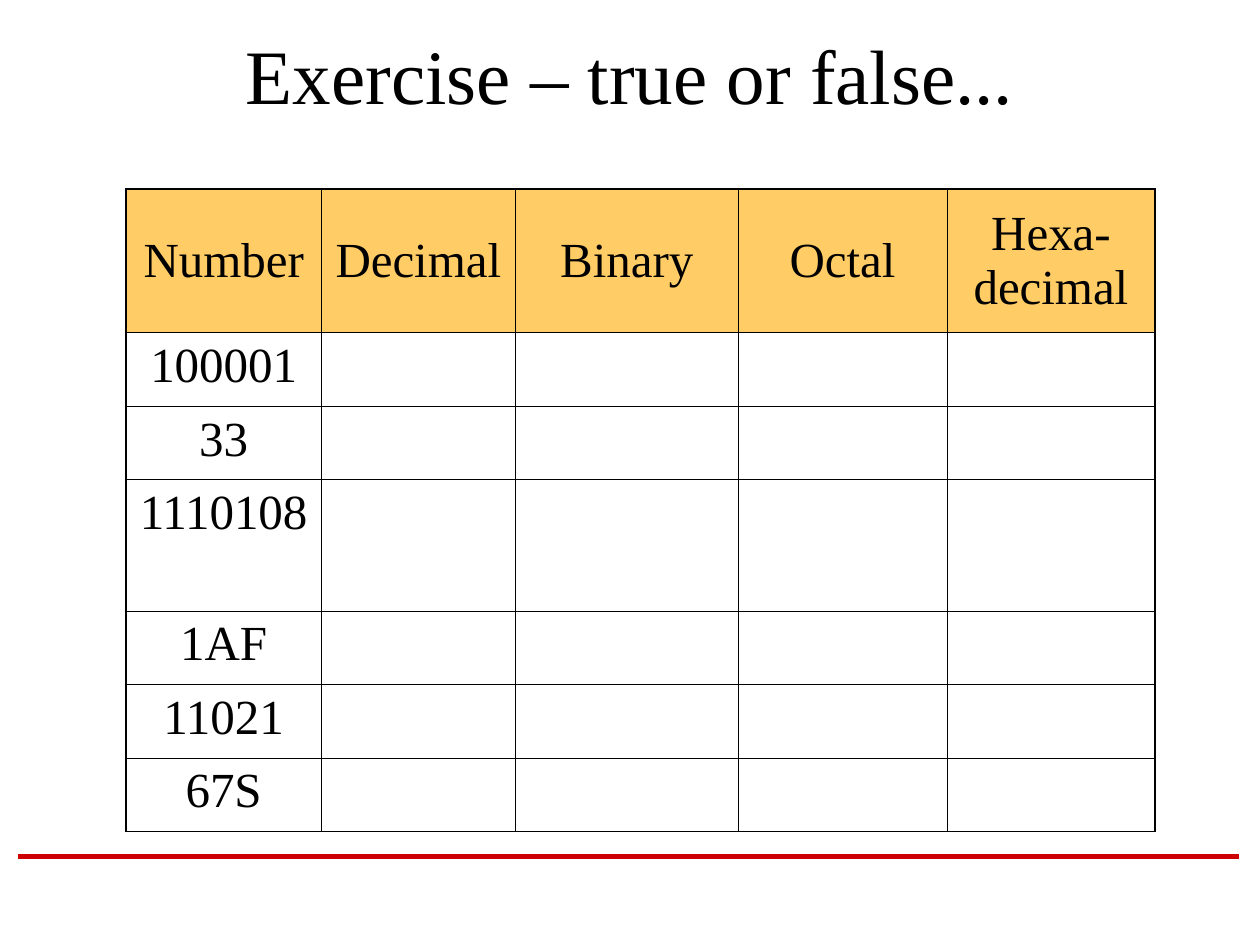
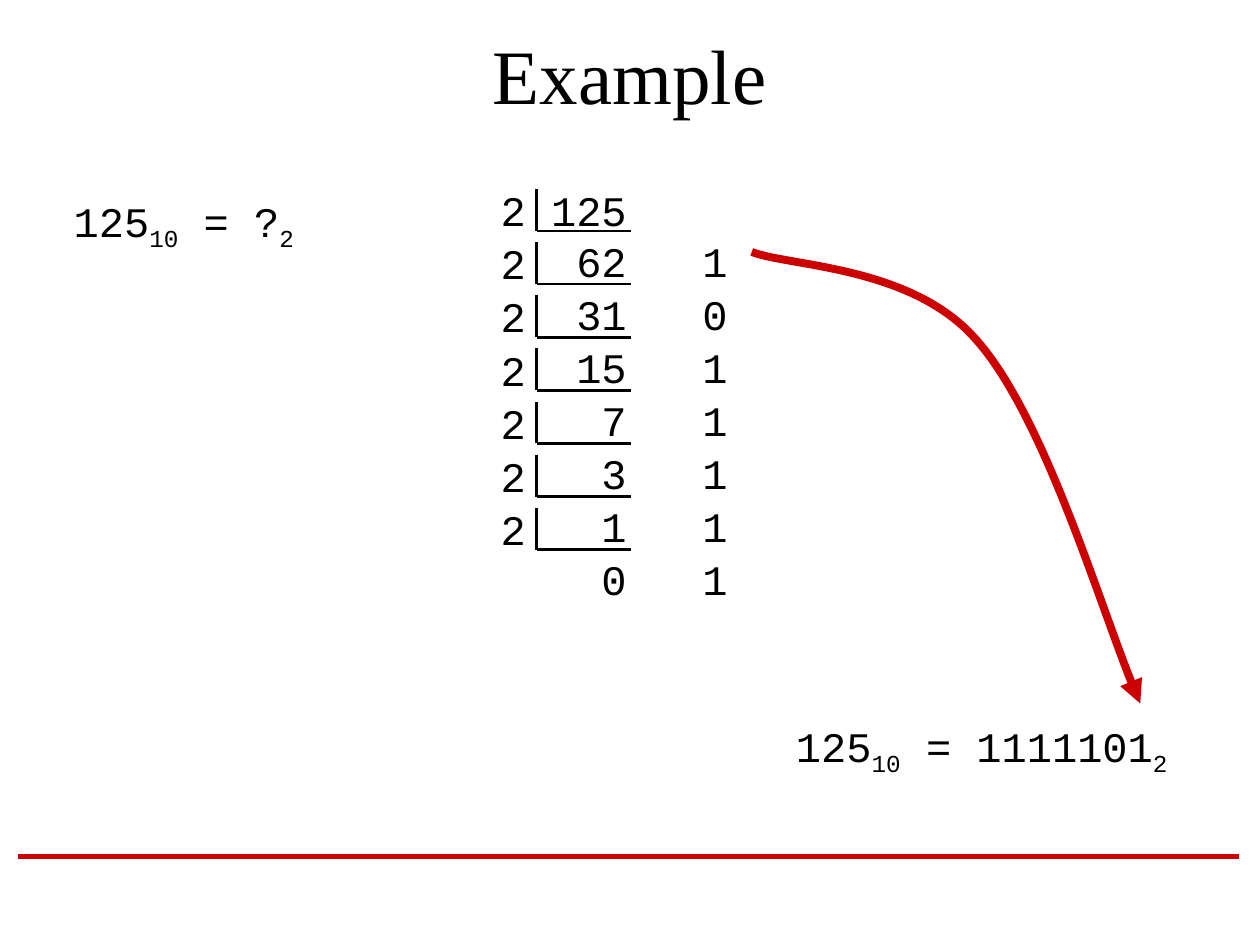
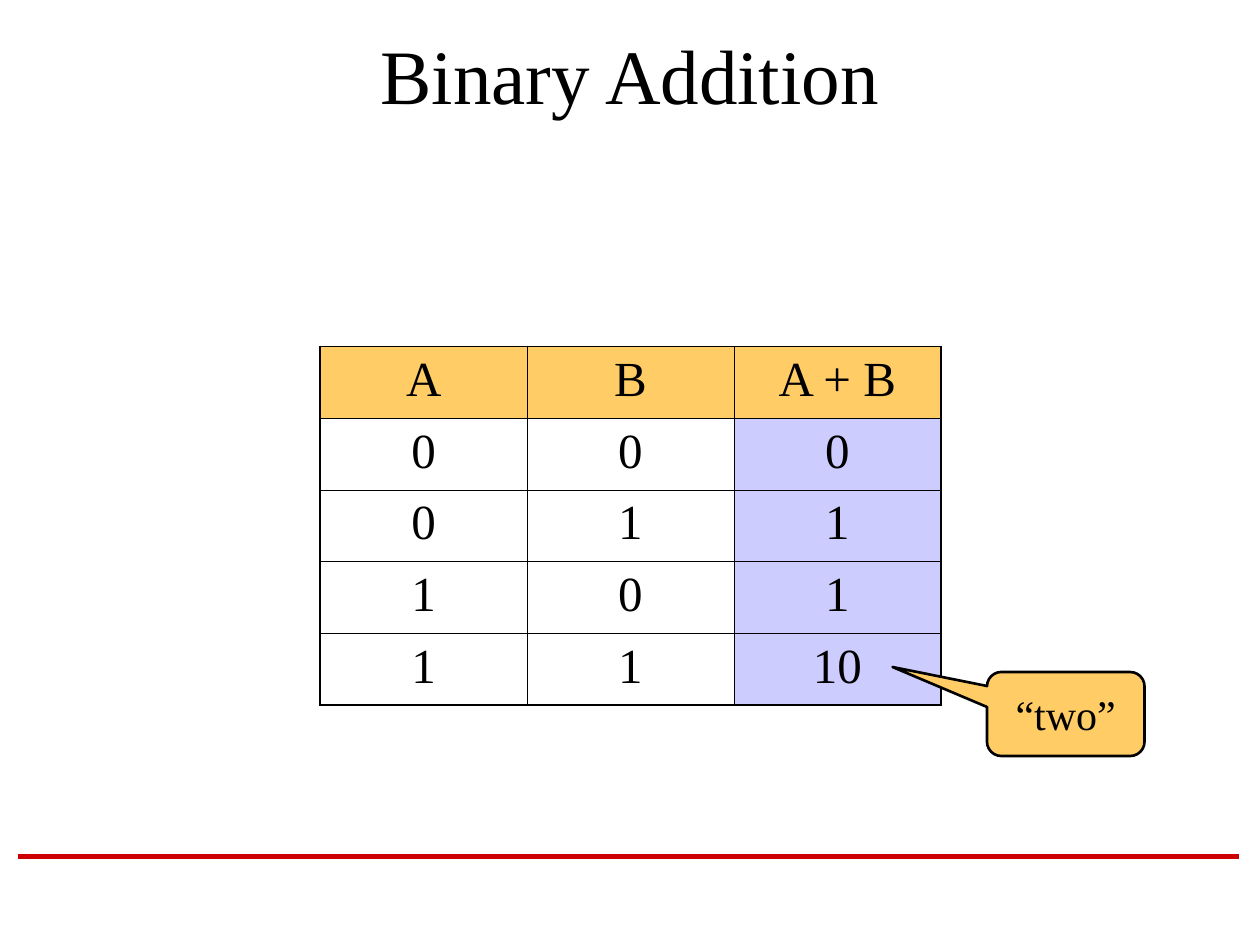
from lxml import etree
from pptx import Presentation
from pptx.dml.color import RGBColor
from pptx.enum.shapes import MSO_CONNECTOR as Connector, MSO_SHAPE as Preset
from pptx.enum.text import MSO_ANCHOR as Anchor, PP_ALIGN as Align
from pptx.oxml.ns import qn
from pptx.util import Inches, Pt

COLORS = {"ink": "000000", "rule": "CC0000", "header": "FFCC66", "sum": "CCCCFF"}
SERIF, MONO = "Times New Roman", "Courier New"
COLUMNS, ROWS = 120, 90
BLANK_LAYOUT = 6
THIN, THICK = 0.45, 1.08


def color(name):
    return RGBColor.from_string(COLORS[name])


def write(frame, text, size=28, font=SERIF, align=Align.CENTER, anchor=Anchor.TOP, tabs=()):
    frame.word_wrap = True
    frame.vertical_anchor = anchor
    paragraph = frame.paragraphs[0]
    paragraph.alignment = align
    if tabs:
        tab_list = etree.SubElement(paragraph._p.get_or_add_pPr(), qn("a:tabLst"))
        for position in tabs:
            etree.SubElement(tab_list, qn("a:tab"), pos=str(Inches(position)), algn="r")
    for number, line in enumerate(text.split("\n")):
        if number:
            paragraph.add_line_break()
        for index, piece in enumerate(line.split("_")):
            if not piece:
                continue
            run = paragraph.add_run()
            run.text = piece
            run.font.size = Pt(size)
            run.font.name = font
            run.font.color.rgb = color("ink")
            if index % 2:
                run.font._element.set("baseline", "-25000")


def set_borders(cell, widths):
    properties = cell._tc.get_or_add_tcPr()
    for index, (side, width) in enumerate(widths.items()):
        border = etree.Element(qn("a:ln" + side), w=str(Pt(width)))
        fill = etree.SubElement(border, qn("a:solidFill"))
        etree.SubElement(fill, qn("a:srgbClr"), val=COLORS["ink"])
        properties.insert(index, border)


class Deck:
    def __init__(self):
        self.presentation = Presentation()
        self.presentation.slide_width = Inches(10)
        self.presentation.slide_height = Inches(7.5)
        self.slide = None

    def x(self, columns):
        return round(self.presentation.slide_width * columns / COLUMNS)

    def y(self, rows):
        return round(self.presentation.slide_height * rows / ROWS)

    def box(self, left, top, width, height):
        return self.x(left), self.y(top), self.x(width), self.y(height)

    def new_slide(self, title):
        layout = self.presentation.slide_layouts[BLANK_LAYOUT]
        self.slide = self.presentation.slides.add_slide(layout)
        self.line((1.7, 81.6), (118, 81.6), "rule", 3)
        self.text((9, 2, 102, 10), title, size=44, anchor=Anchor.MIDDLE)

    def text(self, area, text, **style):
        shape = self.slide.shapes.add_textbox(*self.box(*area))
        write(shape.text_frame, text, **style)

    def line(self, start, end, ink="ink", width=1.5):
        connector = self.slide.shapes.add_connector(
            Connector.STRAIGHT, self.x(start[0]), self.y(start[1]), self.x(end[0]), self.y(end[1]))
        connector.line.color.rgb = color(ink)
        connector.line.width = Pt(width)
        etree.SubElement(connector._element.spPr, qn("a:effectLst"))

    def table(self, left, top, widths, heights, rows, fills, header_anchor=Anchor.TOP):
        area = self.box(left, top, sum(widths), sum(heights))
        table = self.slide.shapes.add_table(len(heights), len(widths), *area).table
        for column, width in zip(table.columns, widths):
            column.width = self.x(width)
        last_row, last_column = len(heights) - 1, len(widths) - 1
        for r, (values, height) in enumerate(zip(rows, heights)):
            table.rows[r].height = self.y(height)
            for c in range(len(widths)):
                cell = table.cell(r, c)
                fill = "header" if r == 0 else fills.get(c)
                if fill:
                    cell.fill.solid()
                    cell.fill.fore_color.rgb = color(fill)
                else:
                    cell.fill.background()
                set_borders(cell, {
                    "L": THIN if c else THICK,
                    "R": THICK if c == last_column else THIN,
                    "T": THIN if r else THICK,
                    "B": THICK if r == last_row else THIN,
                })
                if c < len(values):
                    write(cell.text_frame, values[c])
                    cell.vertical_anchor = Anchor.TOP if r else header_anchor

    def curved_arrow(self, points, ink, width):
        scaled = [(self.x(column), self.y(row)) for column, row in points]
        builder = self.slide.shapes.build_freeform(*scaled[0], scale=1.0)
        builder.add_line_segments(scaled[1:], close=False)
        shape = builder.convert_to_shape()
        shape.shadow.inherit = False
        shape.fill.background()
        shape.line.color.rgb = color(ink)
        shape.line.width = Pt(width)
        etree.SubElement(shape.line._get_or_add_ln(), qn("a:tailEnd"), type="triangle")
        segments = list(shape._element.iter(qn("a:lnTo")))
        for first in range(0, len(segments), 3):
            curve = etree.SubElement(segments[first].getparent(), qn("a:cubicBezTo"))
            for segment in segments[first:first + 3]:
                curve.append(segment[0])
                segment.getparent().remove(segment)

    def callout(self, area, text, adjustments):
        shape = self.slide.shapes.add_shape(Preset.ROUNDED_RECTANGULAR_CALLOUT, *self.box(*area))
        for index, value in enumerate(adjustments):
            shape.adjustments[index] = value
        shape.shadow.inherit = False
        shape.fill.solid()
        shape.fill.fore_color.rgb = color("header")
        shape.line.color.rgb = color("ink")
        shape.line.width = Pt(1.5)
        write(shape.text_frame, text, size=24, anchor=Anchor.MIDDLE)


def exercise_slide(deck):
    deck.new_slide("Exercise – true or false...")
    header = ["Number", "Decimal", "Binary", "Octal", "Hexa-\ndecimal"]
    numbers = ["100001", "33", "1110108", "1AF", "11021", "67S"]
    deck.table(12, 18, [18.6, 18.5, 21.2, 19.9, 19.8], [13.7, 7, 7, 12.5, 7, 7, 7],
               [header] + [[number] for number in numbers], {}, Anchor.MIDDLE)


def division_slide(deck):
    deck.new_slide("Example")
    deck.text((4, 18, 27, 6.7), "125_10_ = ?_2", size=24, font=MONO)
    step, value = 5.06, 125
    for index in range(7):
        top = 17 + step * index
        quotient, remainder = divmod(value, 2)
        divisor = "2" if index else f"2\t{value}"
        deck.text((46.5, top, 27, 10.8), f"{divisor}\n\t{quotient}\t{remainder}",
                  size=24, font=MONO, align=Align.LEFT, tabs=(1, 1.8))
        corner = (51.1, top + 5)
        deck.line((51.1, top + 1), corner)
        deck.line(corner, (60.1, top + 5))
        value = quotient
    deck.text((72, 68, 43, 6.7), "125_10_ = 1111101_2", size=24, font=MONO)
    deck.curved_arrow([(71.6, 24), (75.2, 25.4), (87, 25.3), (93.1, 32.5),
                       (99.4, 39.7), (105.4, 59.8), (108.6, 67)], "rule", 4.5)


def addition_slide(deck):
    deck.new_slide("Binary Addition")
    sums = [[str(a), str(b), f"{a + b:b}"] for a in (0, 1) for b in (0, 1)]
    deck.table(30.5, 33, [19.7] * 3, [6.83] * 5, [["A", "B", "A + B"]] + sums, {2: "sum"})
    deck.callout((94, 64, 15, 8), "“two”", (-1.1, -0.56, 0.17))


def main():
    deck = Deck()
    exercise_slide(deck)
    division_slide(deck)
    addition_slide(deck)
    deck.presentation.save("out.pptx")


if __name__ == "__main__":
    main()
